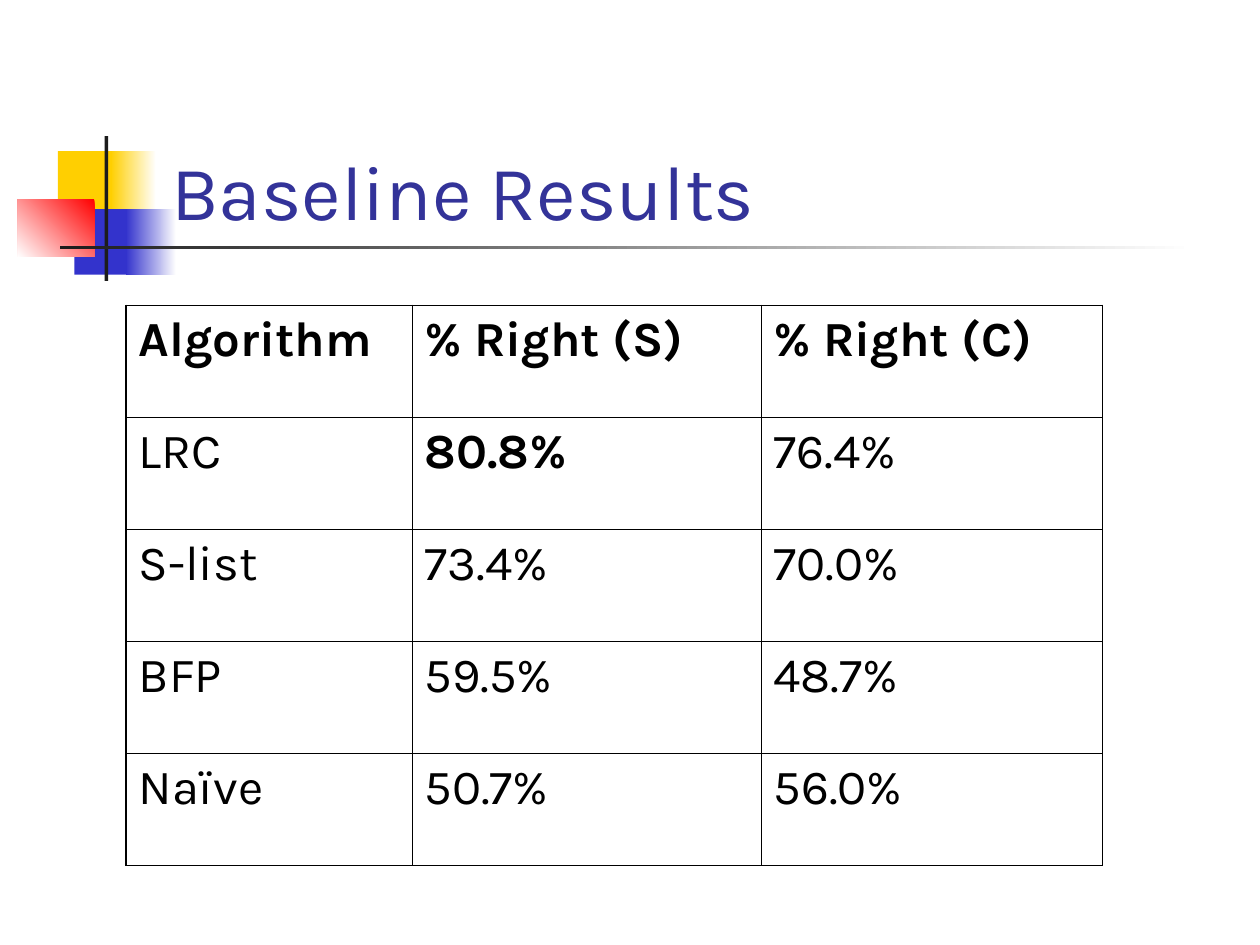
from lxml import etree
from pptx import Presentation
from pptx import util as u
from pptx.dml.color import RGBColor
from pptx.enum import shapes, text
from pptx.oxml import ns


def paint(code):
    return RGBColor.from_string(code)


class Deck:
    font = "Karla"
    ink = "000000"
    thin, thick = 0.45, 1.08

    def __init__(self, wide, high):
        self.show = Presentation()
        self.show.slide_width = u.Inches(wide)
        self.show.slide_height = u.Inches(high)
        self.slide = self.show.slides.add_slide(self.show.slide_layouts[6])

    def block(self, place, tones, turn=180):
        box = self.slide.shapes.add_shape(
            shapes.MSO_SHAPE.RECTANGLE, *map(u.Inches, place))
        box.shadow.inherit = False
        box.line.fill.background()
        if len(tones) == 1:
            box.fill.solid()
            box.fill.fore_color.rgb = paint(tones[0])
            return
        box.fill.gradient()
        box.fill.gradient_angle = turn
        for stop, tone in zip(box.fill.gradient_stops, tones):
            stop.color.rgb = paint(tone)

    def label(self, para, words, size, tone, bold=False):
        run = para.add_run()
        run.text = words
        run.font.name = self.font
        run.font.size = u.Pt(size)
        run.font.bold = bold
        run.font.color.rgb = paint(tone)

    def title(self, place, words):
        box = self.slide.shapes.add_textbox(*map(u.Inches, place))
        frame = box.text_frame
        frame.word_wrap = True
        frame.vertical_anchor = text.MSO_ANCHOR.BOTTOM
        self.label(frame.paragraphs[0], words, 44, "333399")

    def edge(self, cell, side, width):
        props = cell._tc.get_or_add_tcPr()
        line = etree.SubElement(props, ns.qn("a:ln" + side), w=str(u.Pt(width)))
        fill = etree.SubElement(line, ns.qn("a:solidFill"))
        etree.SubElement(fill, ns.qn("a:srgbClr"), val=self.ink)

    def table(self, left, top, widths, high, rows, strong):
        frame = self.slide.shapes.add_table(
            len(rows), len(widths), u.Inches(left), u.Inches(top),
            u.Inches(sum(widths)), u.Inches(high * len(rows)))
        grid = frame.table
        grid.first_row = grid.horz_banding = False
        for col, width in zip(grid.columns, widths):
            col.width = u.Inches(width)
        for r, row in enumerate(rows):
            grid.rows[r].height = u.Inches(high)
            for c, words in enumerate(row):
                cell = grid.cell(r, c)
                outer = {"L": c == 0, "R": c == len(widths) - 1,
                         "T": False, "B": r == len(rows) - 1}
                for side, heavy in outer.items():
                    self.edge(cell, side, self.thick if heavy else self.thin)
                cell.fill.background()
                para = cell.text_frame.paragraphs[0]
                para.space_before = u.Pt(7)
                self.label(para, words, 28, self.ink, r == 0 or words in strong)


def main():
    deck = Deck(10, 7.5)
    white, gold, blue, dark = "FFFFFF", "FFCF01", "3333CC", "1C1C1C"
    deck.block((0.46, 1.2, 0.48, 0.52), [gold])
    deck.block((0.88, 1.2, 0.36, 0.52), [white, gold])
    deck.block((0.59, 1.66, 0.46, 0.52), [blue])
    deck.block((1, 1.66, 0.4, 0.52), [white, blue])
    deck.block((0.14, 1.58, 0.61, 0.46), ["FF0000", white], 225)
    deck.block((0.83, 1.08, 0.03, 1.15), [dark])
    deck.block((0.48, 1.95, 9, 0.03), [white, dark])
    deck.title((1.26, 0.67, 8.52, 1.25), "Baseline Results")
    rows = [
        ("Algorithm", "% Right (S)", "% Right (C)"),
        ("LRC", "80.8%", "76.4%"),
        ("S-list", "73.4%", "70.0%"),
        ("BFP", "59.5%", "48.7%"),
        ("Naïve", "50.7%", "56.0%"),
    ]
    deck.table(1, 2.42, (2.27, 2.77, 2.71), 0.89, rows, {"80.8%"})
    deck.show.save("out.pptx")


if __name__ == "__main__":
    main()
